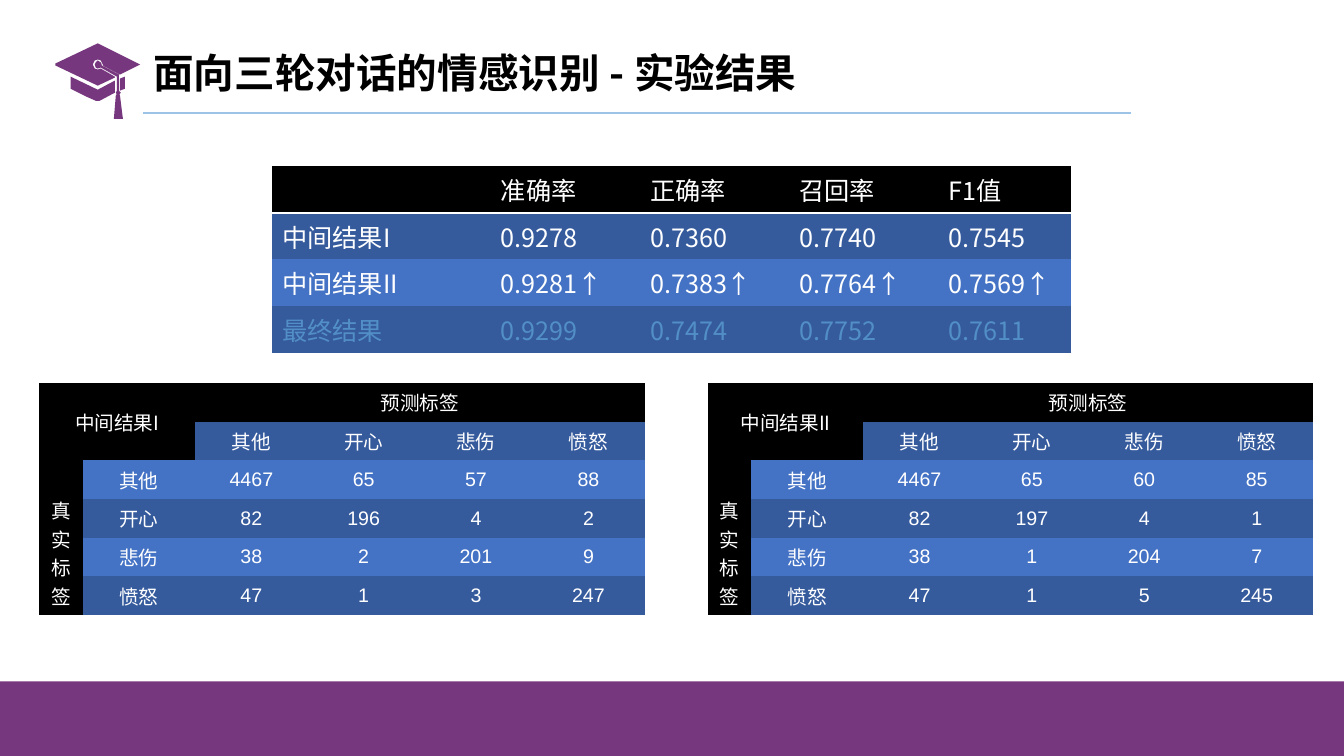
from dataclasses import dataclass

from lxml.etree import SubElement
from pptx import Presentation
from pptx.dml.color import RGBColor
from pptx.enum.shapes import MSO_CONNECTOR, MSO_SHAPE
from pptx.enum.text import MSO_ANCHOR, MSO_AUTO_SIZE, PP_ALIGN
from pptx.oxml.ns import qn
from pptx.slide import Slide
from pptx.table import Table, _Cell
from pptx.text.text import _Paragraph
from pptx.util import Cm, Pt

CHINESE_FONT = "Noto Sans CJK SC"
NUMBER_FONT = "Arial"
PURPLE, BLACK, WHITE = "77377E", "000000", "FFFFFF"
BANDS = ("4472C4", "365B9D")
FINAL_BLUE = "528FC7"
PLAIN_TABLE_STYLE = "{2D5ABB26-0587-4C30-8999-92F81FD0307C}"
EMOTIONS = ["其他", "开心", "悲伤", "愤怒"]

# Outlines of the graduation cap, in hundredths of an inch.
CAP_OUTLINES = [
    [(119, 90), (124, 88), (124, 76), (119, 78)],
    [(70, 76), (70, 88), (78, 92), (86, 96), (95, 99.5), (97, 100), (99, 99.5),
     (114, 92), (114, 80), (97, 89)],
    [(118, 75), (118, 74), (101, 65), (101, 64), (100, 61.5), (97, 60), (95, 61.5),
     (94, 64), (95, 67), (97, 68), (100, 67), (116, 76)],
    [(139, 64), (97, 43), (55, 63), (55, 65), (97, 85), (114, 77), (114, 76), (100, 68),
     (97, 69), (94, 67.5), (92, 64), (94, 60.5), (97, 59), (100.5, 60.5), (102, 64),
     (102, 65), (119, 74)],
    [(118, 75), (118, 90), (120, 92), (118, 94), (119, 94), (122, 118), (113, 118),
     (115, 94), (116, 94), (115, 92), (116, 90), (116, 76)],
]


@dataclass
class TableSpec:
    left: float
    top: float
    columns: list[float]
    row_height: float
    rows: list[list[str]]


@dataclass
class ConfusionMatrix:
    name: str
    left: float
    counts: list[list[int]]


SCORES = TableSpec(6.86, 4.19, [5.51, 3.76, 3.76, 3.76, 3.33], 1.03, [
    ["", "准确率", "正确率", "召回率", "F1值"],
    ["中间结果I", "0.9278", "0.7360", "0.7740", "0.7545"],
    ["中间结果II", "0.9281↑", "0.7383↑", "0.7764↑", "0.7569↑"],
    ["最终结果", "0.9299", "0.7474", "0.7752", "0.7611"],
])
MATRICES = [
    ConfusionMatrix("中间结果I", 0.99, [
        [4467, 65, 57, 88], [82, 196, 4, 2], [38, 2, 201, 9], [47, 1, 3, 247]]),
    ConfusionMatrix("中间结果II", 17.83, [
        [4467, 65, 60, 85], [82, 197, 4, 1], [38, 1, 204, 7], [47, 1, 5, 245]]),
]


def colour(value: str) -> RGBColor:
    return RGBColor.from_string(value)


def add_run(paragraph: _Paragraph, text: str, size: float, font_name: str,
            font_colour: str, bold: bool = False) -> None:
    run = paragraph.add_run()
    run.text = text
    run.font.size = Pt(size)
    run.font.bold = bold
    run.font.color.rgb = colour(font_colour)
    run.font.name = font_name
    SubElement(run.font._element, qn("a:ea"), typeface=CHINESE_FONT)


def fill_cell(cell: _Cell, fill: str) -> None:
    cell.fill.solid()
    cell.fill.fore_color.rgb = colour(fill)


def add_bottom_border(cell: _Cell) -> None:
    """Rule off a header cell; the border has to precede the cell's fill."""
    border = SubElement(cell._tc.get_or_add_tcPr(), qn("a:lnB"), w=str(Pt(2)))
    fill = SubElement(border, qn("a:solidFill"))
    SubElement(fill, qn("a:srgbClr"), val=WHITE)


def add_plain_table(slide: Slide, spec: TableSpec) -> Table:
    """Add an unstyled table with its column widths and row heights."""
    frame = slide.shapes.add_table(
        len(spec.rows), len(spec.columns), Cm(spec.left), Cm(spec.top),
        Cm(sum(spec.columns)), Cm(spec.row_height * len(spec.rows)))
    for style in frame._element.iter(qn("a:tableStyleId")):
        style.text = PLAIN_TABLE_STYLE
    table = frame.table
    table.first_row = table.horz_banding = False
    for column, width in zip(table.columns, spec.columns):
        column.width = Cm(width)
    for row in table.rows:
        row.height = Cm(spec.row_height)
    return table


def draw_scores(slide: Slide) -> None:
    table = add_plain_table(slide, SCORES)
    last = len(SCORES.rows) - 1
    for i, texts in enumerate(SCORES.rows):
        for j, text in enumerate(texts):
            cell = table.cell(i, j)
            if i == 0:
                add_bottom_border(cell)
            fill_cell(cell, BANDS[i % 2] if i else BLACK)
            if text:
                add_run(cell.text_frame.paragraphs[0], text, 18, CHINESE_FONT,
                        FINAL_BLUE if i == last else WHITE)


def draw_matrix(slide: Slide, matrix: ConfusionMatrix) -> None:
    rows = [[matrix.name, "", "预测标签", "", "", ""], ["", "", *EMOTIONS]]
    for emotion, counts in zip(EMOTIONS, matrix.counts):
        rows.append(["", emotion, *map(str, counts)])
    rows[2][0] = "真实标签"
    spec = TableSpec(matrix.left, 9.65, [1.09, 2.84, 2.83, 2.83, 2.83, 2.84], 0.89, rows)
    table = add_plain_table(slide, spec)
    for i, texts in enumerate(rows):
        for j, text in enumerate(texts):
            cell = table.cell(i, j)
            fill_cell(cell, BANDS[i % 2] if i and j else BLACK)
            cell.vertical_anchor = MSO_ANCHOR.MIDDLE
            if text:
                paragraph = cell.text_frame.paragraphs[0]
                paragraph.alignment = PP_ALIGN.CENTER
                font_name = NUMBER_FONT if text.isdigit() else CHINESE_FONT
                add_run(paragraph, text, 14, font_name, WHITE)
    table.cell(0, 0).merge(table.cell(1, 1))
    table.cell(0, 2).merge(table.cell(0, 5))
    true_label = table.cell(2, 0)
    true_label.merge(table.cell(5, 0))
    true_label.vertical_anchor = MSO_ANCHOR.BOTTOM
    true_label._tc.get_or_add_tcPr().set("vert", "eaVert")


def draw_title(slide: Slide) -> None:
    title = slide.shapes.title
    title.left, title.top, title.width, title.height = Cm(3.61), Cm(0.94), Cm(26.47), Cm(1.9)
    frame = title.text_frame
    frame.auto_size = MSO_AUTO_SIZE.NONE
    frame.vertical_anchor = MSO_ANCHOR.MIDDLE
    paragraph = frame.paragraphs[0]
    paragraph.alignment = PP_ALIGN.LEFT
    paragraph.line_spacing = 0.9
    add_run(paragraph, "面向三轮对话的情感识别 - 实验结果", 29, CHINESE_FONT, BLACK, bold=True)

    underline = slide.shapes.add_connector(
        MSO_CONNECTOR.STRAIGHT, Cm(3.61), Cm(2.84), Cm(28.5), Cm(2.84))
    underline.line.color.rgb = colour("9DC3E6")
    underline.line.width = Pt(1.5)
    SubElement(underline._element.spPr, qn("a:effectLst"))


def paint_purple(shape) -> None:
    shape.shadow.inherit = False
    shape.fill.solid()
    shape.fill.fore_color.rgb = colour(PURPLE)
    shape.line.fill.background()


def draw_cap(slide: Slide) -> None:
    builder = slide.shapes.build_freeform(*CAP_OUTLINES[0][0], scale=Cm(2.54) / 100)
    for index, outline in enumerate(CAP_OUTLINES):
        if index:
            builder.move_to(*outline[0])
        builder.add_line_segments(outline[1:], close=True)
    paint_purple(builder.convert_to_shape())


def main() -> None:
    presentation = Presentation()
    presentation.slide_width, presentation.slide_height = Cm(33.87), Cm(19.05)
    slide = presentation.slides.add_slide(presentation.slide_layouts[5])
    draw_title(slide)
    draw_cap(slide)
    draw_scores(slide)
    paint_purple(slide.shapes.add_shape(
        MSO_SHAPE.RECTANGLE, 0, Cm(17.17), presentation.slide_width, Cm(1.88)))
    for matrix in MATRICES:
        draw_matrix(slide, matrix)
    presentation.save("out.pptx")


if __name__ == "__main__":
    main()
